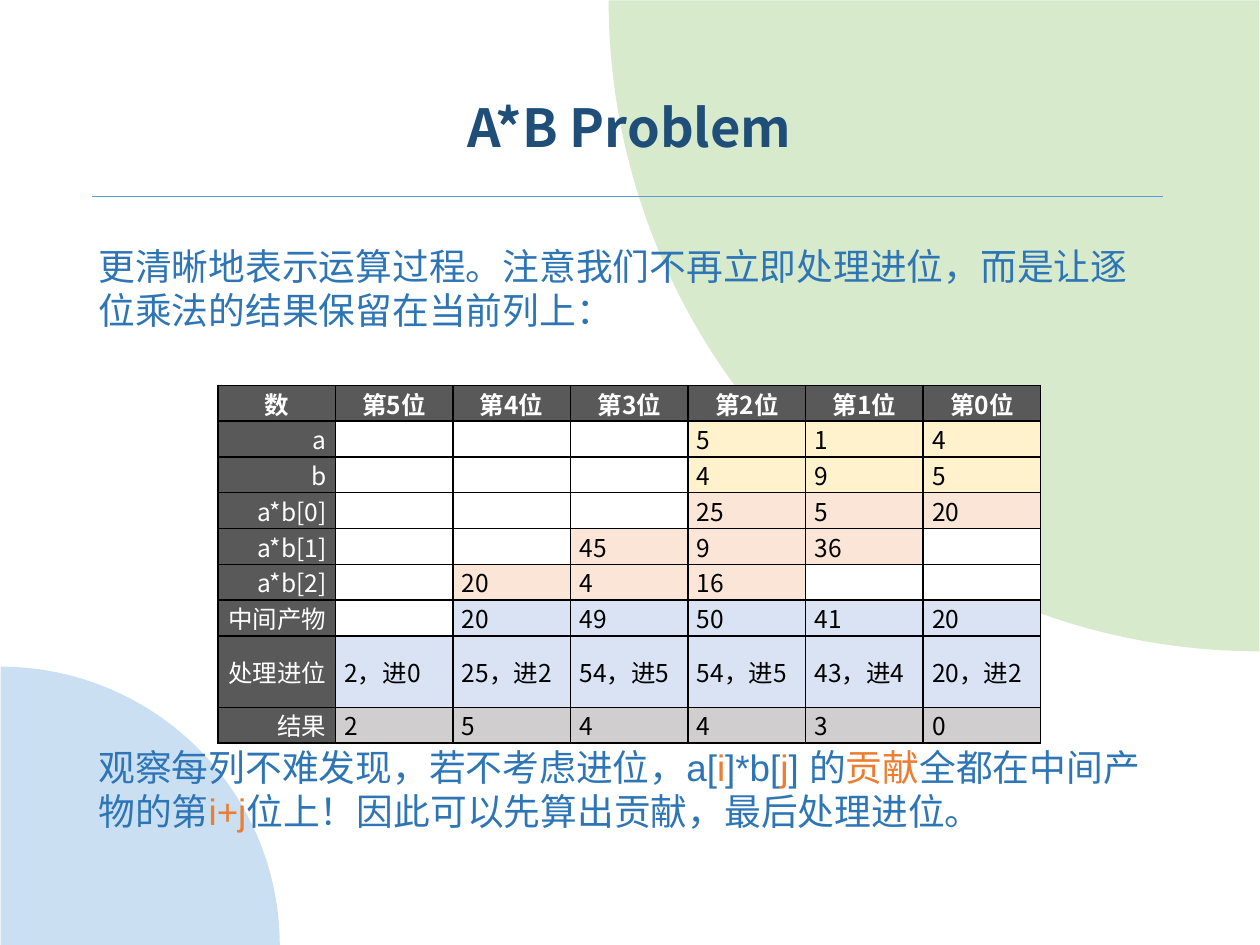
from lxml import etree
from pptx import Presentation
from pptx import util as u
from pptx.dml.color import RGBColor
from pptx.enum import shapes, text
from pptx.oxml import ns

GREEN = RGBColor(0xD8, 0xEA, 0xCC)
LIGHT_BLUE = RGBColor(0xCA, 0xDF, 0xF2)
RULE_BLUE = RGBColor(0x5B, 0x9B, 0xD5)
NAVY = RGBColor(0x1F, 0x4E, 0x79)
BLUE = RGBColor(0x2E, 0x75, 0xB6)
ORANGE = RGBColor(0xED, 0x7D, 0x31)
BLACK = RGBColor(0, 0, 0)
WHITE = RGBColor(0xFF, 0xFF, 0xFF)
DARK_GREY = RGBColor(0x59, 0x59, 0x59)
CREAM = RGBColor(0xFF, 0xF2, 0xCC)
PEACH = RGBColor(0xFB, 0xE5, 0xD6)
PALE_BLUE = RGBColor(0xDA, 0xE3, 0xF3)
GREY = RGBColor(0xD0, 0xCE, 0xCE)
SANS = "Noto Sans CJK SC"


def add_run(paragraph, words, font_name, size, color, bold=False):
    run = paragraph.add_run()
    run.text = words
    run.font.size = u.Pt(size)
    run.font.bold = bold
    run.font.color.rgb = color
    run.font.name = font_name
    properties = run.font._element
    etree.SubElement(properties, ns.qn("a:ea"), typeface=font_name)


def add_borders(cell):
    properties = cell._tc.get_or_add_tcPr()
    for index, side in enumerate(("lnL", "lnR", "lnT", "lnB")):
        line = etree.Element(ns.qn(f"a:{side}"), w=str(u.Pt(1)))
        fill = etree.SubElement(line, ns.qn("a:solidFill"))
        etree.SubElement(fill, ns.qn("a:srgbClr"), val=str(BLACK))
        properties.insert(index, line)


presentation = Presentation()
presentation.slide_width = u.Cm(25.4)
presentation.slide_height = u.Cm(19.05)
slide = presentation.slides.add_slide(presentation.slide_layouts[1])
title, body = slide.placeholders

# Background quarter circles, behind the text
for left, top, size, rotation, color in (
    (12.27, -13.11, 26.24, 270, GREEN),
    (-5.61, 13.44, 11.25, 90, LIGHT_BLUE),
):
    pie = slide.shapes.add_shape(
        shapes.MSO_SHAPE.PIE, u.Cm(left), u.Cm(top), u.Cm(size), u.Cm(size))
    pie.adjustments[0] = 108
    pie.adjustments[1] = 162
    pie.rotation = rotation
    pie.shadow.inherit = False
    pie.fill.solid()
    pie.fill.fore_color.rgb = color
    pie.line.fill.background()
    title.element.addprevious(pie.element)

# Rule under the title
rule = slide.shapes.add_connector(
    shapes.MSO_CONNECTOR.STRAIGHT, u.Cm(23.44), u.Cm(3.96), u.Cm(1.85), u.Cm(3.96))
rule.line.color.rgb = RULE_BLUE
rule.line.width = u.Pt(1)
etree.SubElement(rule.element.spPr, ns.qn("a:effectLst"))
title.element.addprevious(rule.element)

# Title
title.left, title.top, title.width, title.height = map(u.Cm, (1.73, 1.3, 21.92, 2.03))
title.text_frame.auto_size = text.MSO_AUTO_SIZE.NONE
title.text_frame.vertical_anchor = text.MSO_ANCHOR.BOTTOM
paragraph = title.text_frame.paragraphs[0]
paragraph.alignment = text.PP_ALIGN.CENTER
paragraph.line_spacing = 0.9
add_run(paragraph, "A*B Problem", SANS, 30, NAVY, True)

# Body: the second paragraph starts below the table
body.left, body.top, body.width, body.height = map(u.Cm, (1.73, 4.78, 21.92, 12.42))
body.text_frame.auto_size = text.MSO_AUTO_SIZE.NONE
body_paragraphs = (
    (7.5, (("更清晰地表示运算过程。注意我们不再立即处理进位，而是让逐位乘法的结果保留在当前列上：", BLUE),)),
    (236, (
        ("观察每列不难发现，若不考虑进位，a[", BLUE), ("i", ORANGE), ("]*b[", BLUE),
        ("j", ORANGE), ("] 的", BLUE), ("贡献", ORANGE), ("全都在中间产物的第", BLUE),
        ("i+j", ORANGE), ("位上！因此可以先算出贡献，最后处理进位。", BLUE),
    )),
)
for index, (space_before, runs) in enumerate(body_paragraphs):
    frame = body.text_frame
    paragraph = frame.add_paragraph() if index else frame.paragraphs[0]
    paragraph.space_before = u.Pt(space_before)
    properties = paragraph._p.get_or_add_pPr()
    properties.set("marL", "0")
    properties.set("indent", "0")
    etree.SubElement(properties, ns.qn("a:buNone"))
    for words, color in runs:
        add_run(paragraph, words, "Arial", 21, color)

# Multiplication table: row fill, then the row's cells
rows = (
    (DARK_GREY, ("数", "第5位", "第4位", "第3位", "第2位", "第1位", "第0位")),
    (CREAM, ("a", "", "", "", "5", "1", "4")),
    (CREAM, ("b", "", "", "", "4", "9", "5")),
    (PEACH, ("a*b[0]", "", "", "", "25", "5", "20")),
    (PEACH, ("a*b[1]", "", "", "45", "9", "36", "")),
    (PEACH, ("a*b[2]", "", "20", "4", "16", "", "")),
    (PALE_BLUE, ("中间产物", "", "20", "49", "50", "41", "20")),
    (PALE_BLUE, ("处理进位", "2，进0", "25，进2", "54，进5", "54，进5", "43，进4", "20，进2")),
    (GREY, ("结果", "2", "5", "4", "4", "3", "0")),
)
column_count = len(rows[0][1])
table = slide.shapes.add_table(
    len(rows), column_count, u.Cm(4.39), u.Cm(7.77),
    u.Cm(2.37 * column_count), u.Cm(0.71 * len(rows))).table
table.first_row = False
table.horz_banding = False
for row_index, (row_fill, values) in enumerate(rows):
    for column_index, value in enumerate(values):
        cell = table.cell(row_index, column_index)
        is_header = row_index == 0
        is_label = is_header or column_index == 0
        cell.margin_left = cell.margin_right = u.Cm(0.18)
        cell.margin_top = cell.margin_bottom = 0
        cell.vertical_anchor = text.MSO_ANCHOR.MIDDLE
        cell.fill.solid()
        cell.fill.fore_color.rgb = DARK_GREY if is_label else row_fill if value else WHITE
        add_borders(cell)
        paragraph = cell.text_frame.paragraphs[0]
        if not value:
            etree.SubElement(paragraph._p, ns.qn("a:endParaRPr"), sz="1400")
            continue
        paragraph.space_before = paragraph.space_after = u.Pt(1.8)
        if is_header:
            paragraph.alignment = text.PP_ALIGN.CENTER
        elif is_label:
            paragraph.alignment = text.PP_ALIGN.RIGHT
        add_run(paragraph, value, SANS, 14, WHITE if is_label else BLACK, is_header)

presentation.save("out.pptx")
